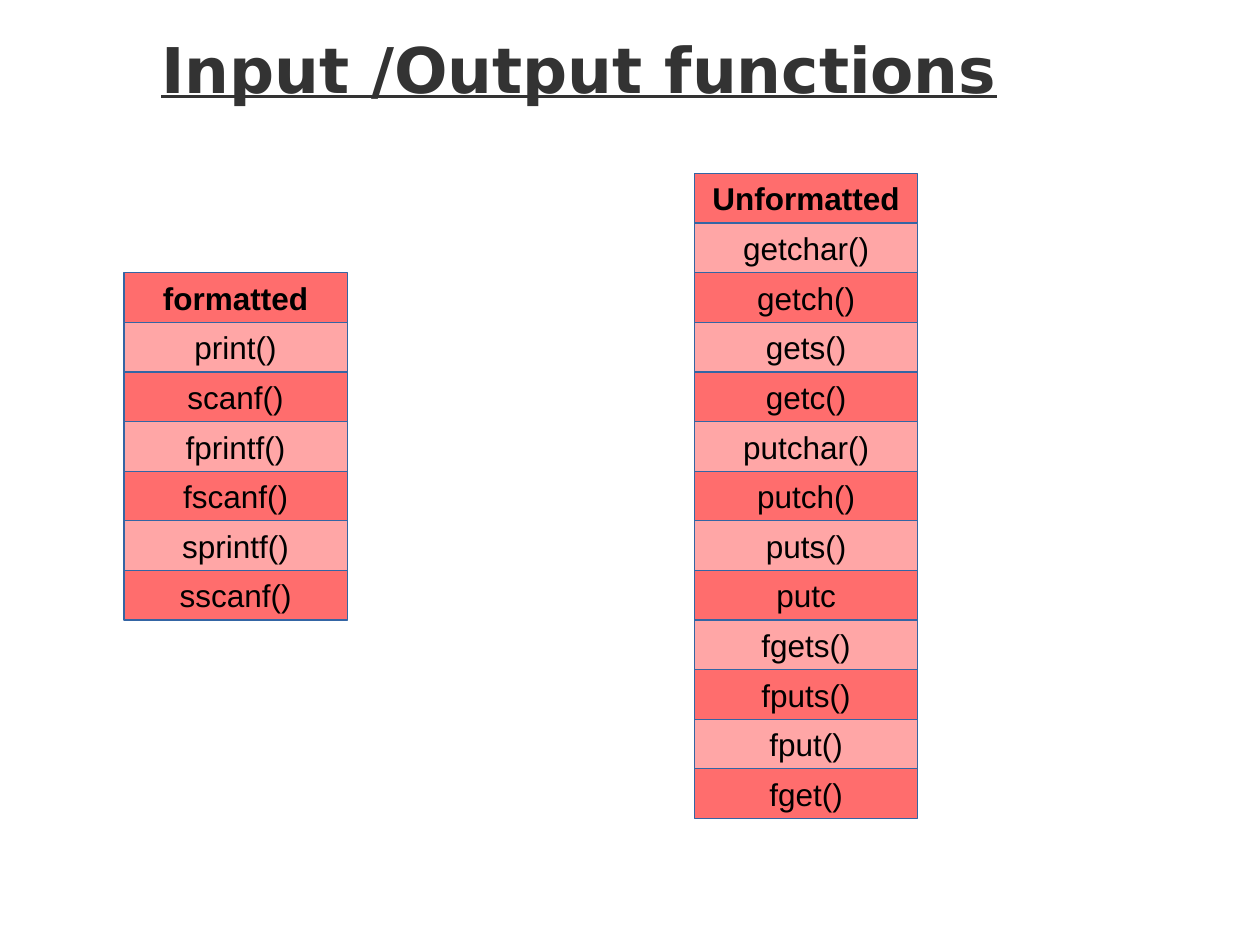
from dataclasses import dataclass

from pptx import Presentation
from pptx.dml.color import RGBColor
from pptx.enum.shapes import MSO_SHAPE
from pptx.enum.text import MSO_ANCHOR, PP_ALIGN
from pptx.util import Cm, Pt

RECTANGLE = MSO_SHAPE.RECTANGLE
MIDDLE = MSO_ANCHOR.MIDDLE
CENTER = PP_ALIGN.CENTER


@dataclass(frozen=True)
class Theme:
    title_color: RGBColor = RGBColor.from_string("333333")
    text_color: RGBColor = RGBColor.from_string("000000")
    line_color: RGBColor = RGBColor.from_string("3465A4")
    row_fills: tuple = (RGBColor.from_string("FF6D6D"), RGBColor.from_string("FFA6A6"))
    title_font: str = "DejaVu Sans"
    body_font: str = "Arial"
    title_size: int = Pt(36)
    body_size: int = Pt(18)


theme = Theme()


def add_run(paragraph, text, font_name, size, color, bold):
    run = paragraph.add_run()
    run.text = text
    run.font.name = font_name
    run.font.size = size
    run.font.color.rgb = color
    run.font.bold = bold
    return run


presentation = Presentation()
presentation.slide_width = Cm(25.4)
presentation.slide_height = Cm(19.05)
slide = presentation.slides.add_slide(presentation.slide_layouts[6])

title = slide.shapes.add_textbox(Cm(3), Cm(0.5), Cm(25), Cm(1.86))
title.text_frame.word_wrap = True
title_run = add_run(title.text_frame.paragraphs[0], "Input /Output functions",
                    theme.title_font, theme.title_size, theme.title_color, True)
title_run.font.underline = True

row_width = 4.5
row_height = 1
columns = [
    (2.5, 5.5, ["formatted", "print()", "scanf()", "fprintf()", "fscanf()",
                "sprintf()", "sscanf()"]),
    (14, 3.5, ["Unformatted", "getchar()", "getch()", "gets()", "getc()",
               "putchar()", "putch()", "puts()", "putc", "fgets()",
               "fputs()", "fput()", "fget()"]),
]

for left, top, labels in columns:
    for row, label in enumerate(labels):
        shape = slide.shapes.add_shape(RECTANGLE, Cm(left), Cm(top + row * row_height),
                                       Cm(row_width), Cm(row_height))
        shape.shadow.inherit = False
        shape.fill.solid()
        shape.fill.fore_color.rgb = theme.row_fills[row % 2]
        shape.line.color.rgb = theme.line_color
        shape.line.width = Pt(0)
        shape.text_frame.word_wrap = False
        shape.text_frame.vertical_anchor = MIDDLE
        paragraph = shape.text_frame.paragraphs[0]
        paragraph.alignment = CENTER
        add_run(paragraph, label, theme.body_font, theme.body_size,
                theme.text_color, row == 0)

presentation.save("out.pptx")
